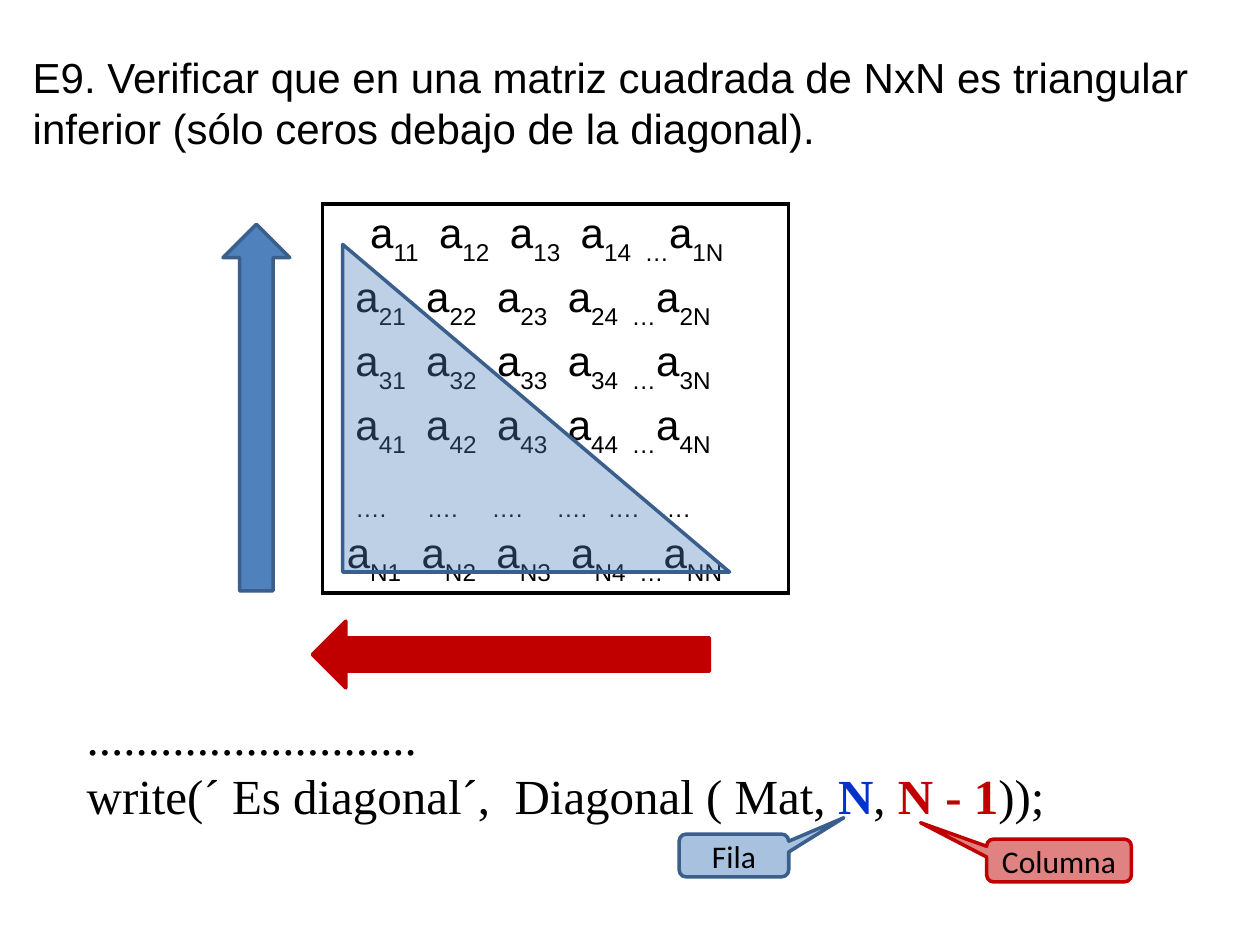
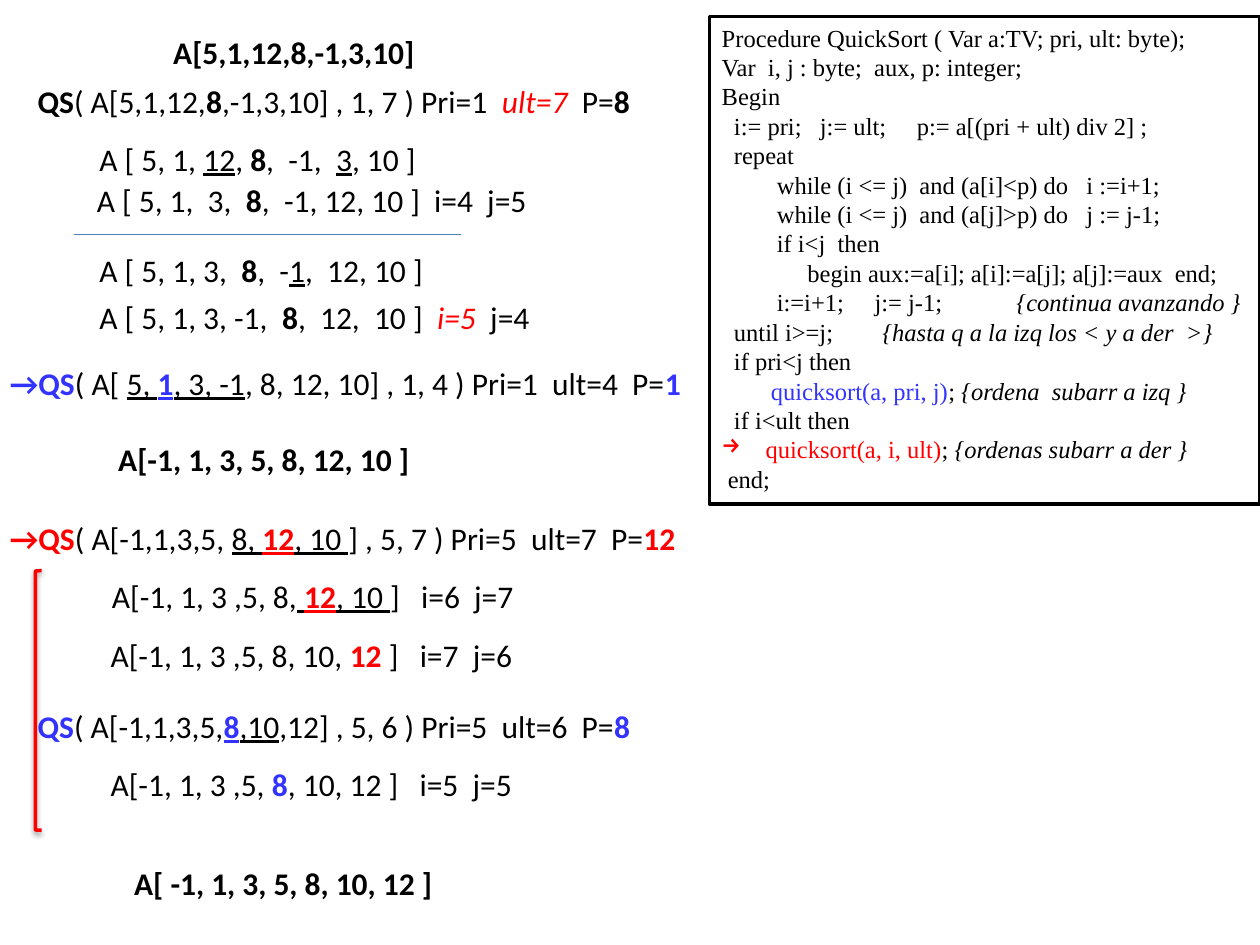
from dataclasses import dataclass

from lxml import etree
from pptx import Presentation
from pptx.dml.color import RGBColor
from pptx.enum.shapes import MSO_CONNECTOR, MSO_SHAPE as Preset
from pptx.enum.text import MSO_ANCHOR as Anchor, MSO_AUTO_SIZE as AutoSize, PP_ALIGN as Align
from pptx.oxml.ns import qn
from pptx.util import Inches, Pt

TITLE_ONLY, BLANK = 5, 6


@dataclass(frozen=True)
class Theme:
    black: str = "000000"
    white: str = "FFFFFF"
    blue: str = "4F81BD"
    blue_edge: str = "3A5F8C"
    rule: str = "4B7EBC"
    dark_red: str = "C00000"
    red: str = "FF0000"
    royal: str = "0033CC"
    violet: str = "3333FF"
    sans: str = "Arial"
    body: str = "Calibri"
    serif: str = "Times New Roman"
    title_size: int = 24
    matrix_size: int = 24
    call_size: int = 28
    body_size: int = 18
    code_size: int = 14
    edge: float = 2


THEME = Theme()
FLAG_COLORS = {"R": THEME.red, "V": THEME.violet, "N": THEME.royal, "D": THEME.dark_red}


def add_xml(parent, tag, **attributes):
    return etree.SubElement(parent, qn(tag), {k: str(v) for k, v in attributes.items()})


class SlideBuilder:
    def __init__(self, presentation, theme):
        self.presentation = presentation
        self.theme = theme
        self.slide = None

    def new_slide(self, layout):
        self.slide = self.presentation.slides.add_slide(self.presentation.slide_layouts[layout])

    def fill_frame(self, frame, lines, font, size, align=Align.LEFT):
        """Fill a frame; each line lists runs, given as "flags|text" or plain text.

        Flags: b bold, i italic, u underline, s subscript, or a key of FLAG_COLORS.
        """
        for number, line in enumerate(lines):
            paragraph = frame.add_paragraph() if number else frame.paragraphs[0]
            paragraph.alignment = align
            for item in [line] if isinstance(line, str) else line:
                flags, _, text = item.rpartition("|")
                run = paragraph.add_run()
                run.text = text
                run.font.name = font
                run.font.size = Pt(size)
                run.font.bold = "b" in flags
                run.font.italic = "i" in flags
                run.font.underline = "u" in flags
                color = next((FLAG_COLORS[f] for f in flags if f in FLAG_COLORS), self.theme.black)
                run.font.color.rgb = RGBColor.from_string(color)
                if "s" in flags:
                    run._r.get_or_add_rPr().set("baseline", "-30000")

    def title(self, box, text):
        shape = self.slide.shapes.title
        shape.left, shape.top, shape.width, shape.height = map(Inches, box)
        frame = shape.text_frame
        frame.auto_size = AutoSize.NONE
        frame.vertical_anchor = Anchor.TOP
        self.fill_frame(frame, [text], self.theme.sans, self.theme.title_size)

    def text(self, box, lines, font=None, size=None, wrap=True):
        frame = self.slide.shapes.add_textbox(*map(Inches, box)).text_frame
        frame.word_wrap = wrap
        frame.auto_size = AutoSize.SHAPE_TO_FIT_TEXT
        self.fill_frame(frame, lines, font or self.theme.body, size or self.theme.body_size)

    def shape(self, preset, box, edge, fill=None, opacity=None, adjustments=()):
        shape = self.slide.shapes.add_shape(preset, *map(Inches, box))
        shape.shadow.inherit = False
        for index, value in enumerate(adjustments):
            shape.adjustments[index] = value
        shape.line.color.rgb = RGBColor.from_string(edge)
        shape.line.width = Pt(self.theme.edge)
        if fill:
            shape.fill.solid()
            shape.fill.fore_color.rgb = RGBColor.from_string(fill)
        else:
            shape.fill.background()
        if opacity:
            color = shape.element.spPr.find(qn("a:solidFill")).find(qn("a:srgbClr"))
            add_xml(color, "a:alpha", val=opacity * 1000)
        return shape

    def callout(self, box, label, edge, fill, tip):
        shape = self.shape(Preset.ROUNDED_RECTANGULAR_CALLOUT, box, edge, fill, 49, (*tip, 0.167))
        shape.text_frame.vertical_anchor = Anchor.MIDDLE
        self.fill_frame(shape.text_frame, [label], self.theme.body, self.theme.body_size,
                        Align.CENTER)

    def code(self, box, lines):
        frame = self.shape(Preset.RECTANGLE, box, self.theme.black, self.theme.white).text_frame
        frame.vertical_anchor = Anchor.TOP
        frame.word_wrap = True
        self.fill_frame(frame, lines, self.theme.serif, self.theme.code_size)
        return frame

    def bracket(self, box):
        """Red left bracket with a soft shadow below it."""
        shape = self.shape(Preset.LEFT_BRACKET, box, self.theme.red)
        effects = shape.element.spPr.find(qn("a:effectLst"))
        shadow = add_xml(effects, "a:outerShdw", blurRad=Pt(3.1), dist=Pt(1.6),
                         dir=5400000, rotWithShape=0)
        add_xml(add_xml(shadow, "a:srgbClr", val=self.theme.black), "a:alpha", val=38000)

    def rule(self, left, right, y):
        line = self.slide.shapes.add_connector(
            MSO_CONNECTOR.STRAIGHT, Inches(left), Inches(y), Inches(right), Inches(y))
        line.line.color.rgb = RGBColor.from_string(self.theme.rule)
        line.line.width = Pt(0.75)
        add_xml(line._element.spPr, "a:effectLst")

    def framed_cell(self, box, lines):
        """One-cell table with a black border."""
        table = self.slide.shapes.add_table(1, 1, *map(Inches, box)).table
        table.first_row = table.horz_banding = False
        cell = table.cell(0, 0)
        self.fill_frame(cell.text_frame, lines, self.theme.sans, self.theme.matrix_size)
        for paragraph in cell.text_frame.paragraphs:
            spacing = add_xml(paragraph._p.get_or_add_pPr(), "a:spcBef")
            add_xml(spacing, "a:spcPct", val=20000)
        properties = cell._tc.get_or_add_tcPr()
        for side in "LRTB":
            border = add_xml(properties, f"a:ln{side}", w=Pt(2.25))
            add_xml(add_xml(border, "a:solidFill"), "a:srgbClr", val=self.theme.black)
        cell.fill.background()
        return cell


def matrix_row(row, lead):
    gaps = {"4": "  …", "N": ""}
    runs = [lead]
    for column in "1234N":
        runs += ["a", f"s|{row}{column}{gaps.get(column, '   ')}"]
    return runs


def build_triangular(builder):
    theme = builder.theme
    builder.new_slide(TITLE_ONLY)
    builder.title((0.16, 0.36, 9.69, 0.91),
                  "E9. Verificar que en una matriz cuadrada de NxN es triangular inferior "
                  "(sólo ceros debajo de la diagonal).")
    leads = {"1": "b|    ", "N": " "}
    rows = [matrix_row(row, leads.get(row, "s|   ")) for row in "1234N"]
    rows.insert(4, "s|   ….      ….     ….     ….   ….   ….")
    cell = builder.framed_cell((2.56, 1.62, 3.7, 3.07), rows)
    cell.text_frame.paragraphs[0].runs[0].font.size = Pt(theme.body_size)

    builder.shape(Preset.RIGHT_TRIANGLE, (2.72, 1.94, 3.07, 2.6), theme.blue_edge, theme.blue, 37)
    builder.text((0.59, 5.56, 8.5, 1.04), [
        "...........................",
        ["write(´ Es diagonal´,  Diagonal ( Mat, ", "bN|N", ", ", "bD|N - 1", "));"],
    ], theme.serif, theme.call_size)
    builder.shape(Preset.LEFT_ARROW, (2.48, 4.93, 3.15, 0.53), theme.dark_red, theme.dark_red)
    builder.shape(Preset.UP_ARROW, (1.77, 1.78, 0.53, 2.91), theme.blue_edge, theme.blue)
    builder.callout((5.39, 6.62, 0.87, 0.34), "Fila", theme.blue_edge, theme.blue,
                    (1.003, -0.883))
    builder.callout((7.83, 6.66, 1.15, 0.34), "Columna", theme.dark_red, theme.dark_red,
                    (-0.956, -0.883))


QUICKSORT = [
    "Procedure QuickSort ( Var a:TV; pri, ult: byte);",
    "Var  i, j : byte;  aux, p: integer;",
    "Begin",
    "  i:= pri;   j:= ult;     p:= a[(pri + ult) div 2] ;",
    "  repeat",
    "         while (i <= j)  and (a[i]<p) do   i :=i+1;",
    "         while (i <= j)  and (a[j]>p) do   j := j-1;",
    "         if i<j  then",
    "              begin aux:=a[i]; a[i]:=a[j]; a[j]:=aux  end;",
    ["         i:=i+1;     j:= j-1;            ", "i|{continua avanzando }"],
    ["  until i>=j; ", "i|       {hasta q a la izq los < y a der  >}"],
    "  if pri<j then",
    ["        ", "V|quicksort(a, pri, j)", "; ", "i|{ordena  subarr a izq }"],
    "  if i<ult then",
    ["R|    quicksort(a, i, ult)", "; ", "i|{ordenas subarr a der }"],
    " end;",
]
RIGHT_CALL = 14

# left, top, width, height, wraps, runs
TRACE = [
    (0.2, 0.6, 5.2, 0.4, True, ["b|QS", "( A[5,1,12,", "b|8", ",-1,3,10] , 1, 7 ) Pri=1  ",
                                "iR|ult=7  ", "P=", "b|8"]),
    (-0.02, 2.84, 5.65, 0.4, True, ["bV|→QS", "( A[ ", "u|5, ", "buV|1", "u|, 3, -1",
                                    ", 8, 12, 10] , 1, 4 ) Pri=1  ult=4  P=", "bV|1"]),
    (-0.02, 4.07, 5.65, 0.71, True, ["bR|→QS", "( A[-1,1,3,5, ", "u|8, ", "buR|12", "u|, 10 ",
                                     "] , 5, 7 ) Pri=5  ult=7  P=", "bR|12"]),
    (0.2, 5.56, 5.43, 0.71, True, ["bV|QS", "( A[-1,1,3,5,", "buV|8", "u|,10",
                                   ",12] , 5, 6 ) Pri=5  ult=6  P=", "bV|8"]),
    (0.91, 6.81, 3.39, 0.4, True, ["b| A[ -1, 1, 3, 5, 8, 10, 12 ]"]),
    (1.22, 0.21, 2.6, 0.4, True, [" ", "b|A[5,1,12,8,-1,3,10]"]),
    (0.69, 1.06, 2.8, 0.4, False, ["A [ 5, 1, ", "u|12", ", ", "b|8", ",  -1,  ", "u|3",
                                   ", 10 ]"]),
    (0.67, 1.39, 4.17, 0.4, True, ["A [ 5, 1,  3,  ", "b|8", ",  -1, 12, 10 ]  i=4  j=5"]),
    (0.69, 1.94, 4.31, 0.4, True, ["A [ 5, 1, 3,  ", "b|8", ",  -", "u|1", ",  12, 10 ]"]),
    (0.69, 2.32, 4.31, 0.4, True, ["A [ 5, 1, 3, -1,  ", "b|8", ",  12,  10 ]  ", "iR|i=5",
                                   "  j=4"]),
    (0.79, 4.53, 3.43, 0.4, False, ["A[-1, 1, 3 ,5, 8,", "u| ", "buR|12", "u|, 10 ",
                                    "]   i=6  j=7"]),
    (0.78, 5, 3.43, 0.4, False, ["A[-1, 1, 3 ,5, 8, 10, ", "bR|12 ", "]   i=7  j=6"]),
    (0.78, 6.02, 3.43, 0.4, False, ["A[-1, 1, 3 ,5, ", "bV|8", ", 10, 12 ]   i=5  j=5"]),
    (0.84, 3.44, 2.54, 0.4, False, ["b|A[-1, 1, 3, 5, 8, 12, 10 ]"]),
]


def build_quicksort(builder):
    builder.new_slide(BLANK)
    frame = builder.code((5.63, 0.13, 4.37, 3.87), QUICKSORT)
    add_xml(frame.paragraphs[RIGHT_CALL]._p.get_or_add_pPr(), "a:buChar", char="→")
    for *box, wrap, runs in TRACE:
        builder.text(box, [runs], wrap=wrap)
    builder.rule(0.59, 3.66, 1.86)
    builder.bracket((0.28, 4.53, 0.05, 2.06))


def main():
    presentation = Presentation()
    presentation.slide_width = Inches(10)
    presentation.slide_height = Inches(7.5)
    builder = SlideBuilder(presentation, THEME)
    build_triangular(builder)
    build_quicksort(builder)
    presentation.save("out.pptx")


if __name__ == "__main__":
    main()
